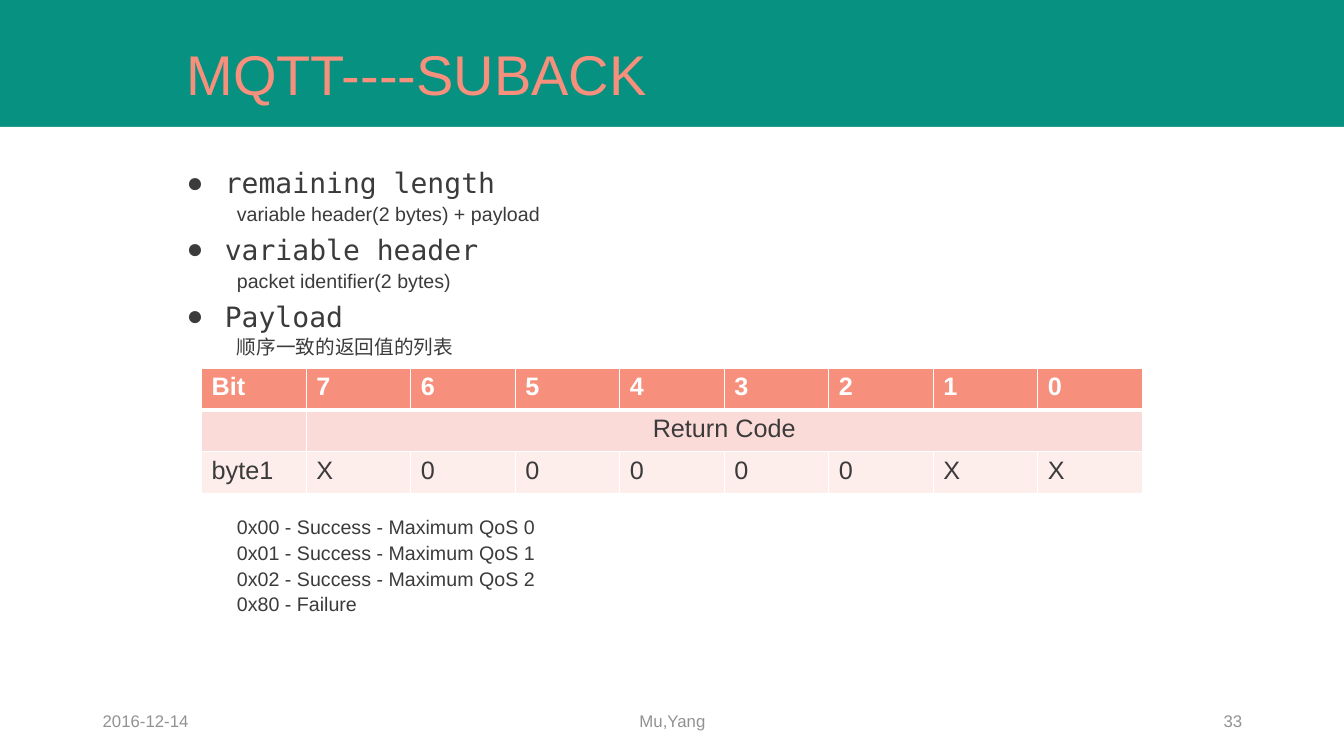
from dataclasses import dataclass

from lxml.etree import SubElement
from pptx import Presentation
from pptx.dml.color import RGBColor
from pptx.enum.shapes import MSO_SHAPE as Preset
from pptx.enum.text import MSO_ANCHOR as Anchor, MSO_AUTO_SIZE as AutoSize, PP_ALIGN as Align
from pptx.oxml.ns import qn
from pptx.util import Inches, Pt


@dataclass(frozen=True)
class Theme:
    band: str = "079180"
    accent: str = "F68F7C"
    ink: str = "3B3B3B"
    muted: str = "929292"
    white: str = "FFFFFF"
    row_tints: tuple = ("F68F7C", "FBDBD7", "FDEEEC")
    sans: str = "Arial"
    mono: str = "DejaVu Sans Mono"
    title_size: int = 40
    heading_size: int = 20
    cell_size: int = 18
    detail_size: int = 14
    footer_size: int = 12


@dataclass(frozen=True)
class Box:
    left: float
    top: float
    width: float
    height: float

    def lengths(self):
        return [Inches(length) for length in (self.left, self.top, self.width, self.height)]


THEME = Theme()
WIDTH, HEIGHT = 13.33, 7.5
PANEL = Box(0, 1.26, WIDTH, HEIGHT - 1.26)
TITLE = Box(1.75, 0.18, 9.62, 1.18)
BODY = Box(1.75, 1.66, 9.62, 4.99)
TABLE = Box(2, 3.65, 9.33, 1.25)
FOOTER = Box(0.92, 6.95, 11.5, 0.4)
TABLE_GAP = 115

SECTIONS = [
    ("remaining length", "variable header(2 bytes) + payload"),
    ("variable header", "packet identifier(2 bytes)"),
    ("Payload", "顺序一致的返回值的列表"),
]
RETURN_CODES = [
    "0x00 - Success - Maximum QoS 0",
    "0x01 - Success - Maximum QoS 1",
    "0x02 - Success - Maximum QoS 2",
    "0x80 - Failure",
]
BIT_ROWS = [["Bit", *"76543210"], ["", "Return Code"], ["byte1", *"X00000XX"]]


def add_run(paragraph, text, size, color, font=THEME.sans, bold=False):
    run = paragraph.add_run()
    run.text = text
    run.font.name = font
    run.font.size = Pt(size)
    run.font.bold = bold
    run.font.color.rgb = RGBColor.from_string(color)


def place(shape, box):
    shape.left, shape.top, shape.width, shape.height = box.lengths()
    shape.text_frame.auto_size = AutoSize.NONE


def add_panel(slide, box):
    slide.background.fill.solid()
    slide.background.fill.fore_color.rgb = RGBColor.from_string(THEME.band)
    panel = slide.shapes.add_shape(Preset.RECTANGLE, *box.lengths())
    panel.shadow.inherit = False
    panel.fill.solid()
    panel.fill.fore_color.rgb = RGBColor.from_string(THEME.white)
    panel.line.fill.background()
    panel._element.getparent().insert(2, panel._element)


def fill_title(slide, box, text):
    title = slide.shapes.title
    place(title, box)
    title.text_frame.vertical_anchor = Anchor.MIDDLE
    paragraph = title.text_frame.paragraphs[0]
    paragraph.alignment = Align.LEFT
    paragraph.line_spacing = 0.9
    add_run(paragraph, text, THEME.title_size, THEME.accent)


def format_item(paragraph, level, margin, indent, space_before, bullet=None):
    paragraph.level = level
    paragraph.line_spacing = 0.8
    paragraph.space_before = Pt(space_before)
    properties = paragraph._p.get_or_add_pPr()
    properties.set("marL", str(Inches(margin)))
    properties.set("indent", str(Inches(indent)))
    if bullet:
        SubElement(properties, qn("a:buFont"), typeface=THEME.sans)
        SubElement(properties, qn("a:buChar"), char=bullet)
    else:
        SubElement(properties, qn("a:buNone"))


def fill_body(slide, box):
    body = slide.placeholders[1]
    place(body, box)
    frame = body.text_frame

    def add_detail(text, space_before=5):
        paragraph = frame.add_paragraph()
        format_item(paragraph, 1, 0.5, 0, space_before)
        add_run(paragraph, text, THEME.detail_size, THEME.ink)

    for index, (heading, detail) in enumerate(SECTIONS):
        paragraph = frame.add_paragraph() if index else frame.paragraphs[0]
        format_item(paragraph, 0, 0.38, -0.38, 10, "●")
        add_run(paragraph, heading, THEME.heading_size, THEME.ink, THEME.mono)
        add_detail(detail)
    for index, code in enumerate(RETURN_CODES):
        add_detail(code, 5 if index else TABLE_GAP)


def add_border(cell, side, width):
    line = SubElement(cell._tc.get_or_add_tcPr(), qn(f"a:ln{side}"), w=str(Pt(width)))
    SubElement(SubElement(line, qn("a:solidFill")), qn("a:srgbClr"), val=THEME.white)


def add_bit_table(slide, box):
    row_count, column_count = len(BIT_ROWS), len(BIT_ROWS[0])
    table = slide.shapes.add_table(row_count, column_count, *box.lengths()).table
    for column in table.columns:
        column.width = Inches(box.width / column_count)
    for row in table.rows:
        row.height = Inches(box.height / row_count)
    table.cell(1, 1).merge(table.cell(1, column_count - 1))
    for row_index, texts in enumerate(BIT_ROWS):
        header = row_index == 0
        for column_index in range(column_count):
            cell = table.cell(row_index, column_index)
            for side in "LRTB":
                thick = (row_index, side) in ((0, "B"), (1, "T"))
                add_border(cell, side, 3 if thick else 1)
            cell.fill.solid()
            cell.fill.fore_color.rgb = RGBColor.from_string(THEME.row_tints[row_index])
            if column_index < len(texts) and texts[column_index]:
                paragraph = cell.text_frame.paragraphs[0]
                paragraph.alignment = Align.CENTER if cell.is_merge_origin else Align.LEFT
                color = THEME.white if header else THEME.ink
                add_run(paragraph, texts[column_index], THEME.cell_size, color, bold=header)


def add_footer(slide, box):
    side, middle = 3, 4.5
    center = box.left + (box.width - middle) / 2
    right = box.left + box.width - side
    for left, width, text, alignment in (
        (box.left, side, "2016-12-14", Align.LEFT),
        (center, middle, "Mu,Yang", Align.CENTER),
        (right, side, "33", Align.RIGHT),
    ):
        label = slide.shapes.add_textbox(*Box(left, box.top, width, box.height).lengths())
        label.text_frame.word_wrap = True
        label.text_frame.vertical_anchor = Anchor.MIDDLE
        paragraph = label.text_frame.paragraphs[0]
        paragraph.alignment = alignment
        add_run(paragraph, text, THEME.footer_size, THEME.muted)


def main():
    presentation = Presentation()
    presentation.slide_width, presentation.slide_height = Inches(WIDTH), Inches(HEIGHT)
    slide = presentation.slides.add_slide(presentation.slide_layouts[1])
    add_panel(slide, PANEL)
    fill_title(slide, TITLE, "MQTT----SUBACK")
    fill_body(slide, BODY)
    add_footer(slide, FOOTER)
    add_bit_table(slide, TABLE)
    presentation.save("out.pptx")


if __name__ == "__main__":
    main()
